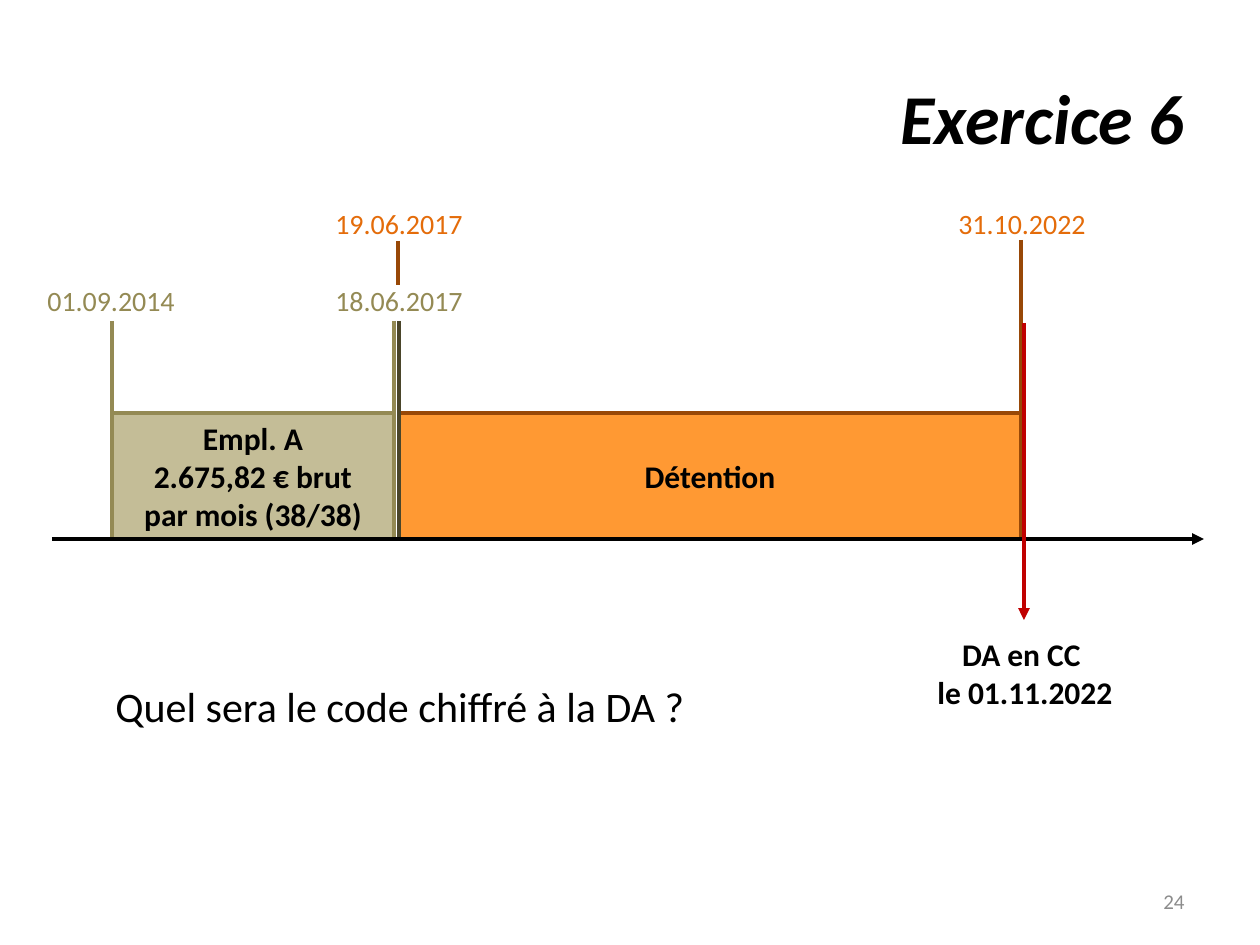
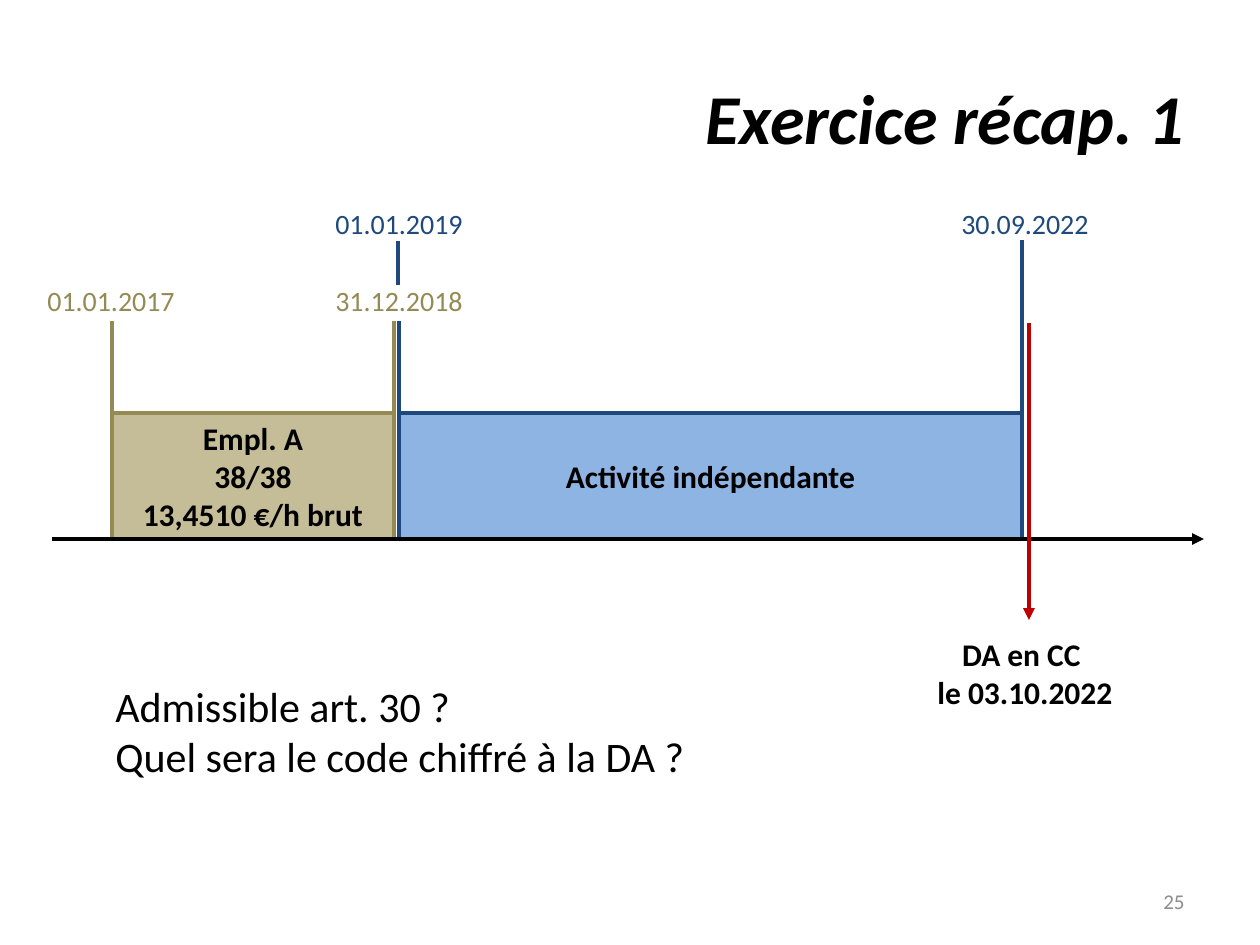
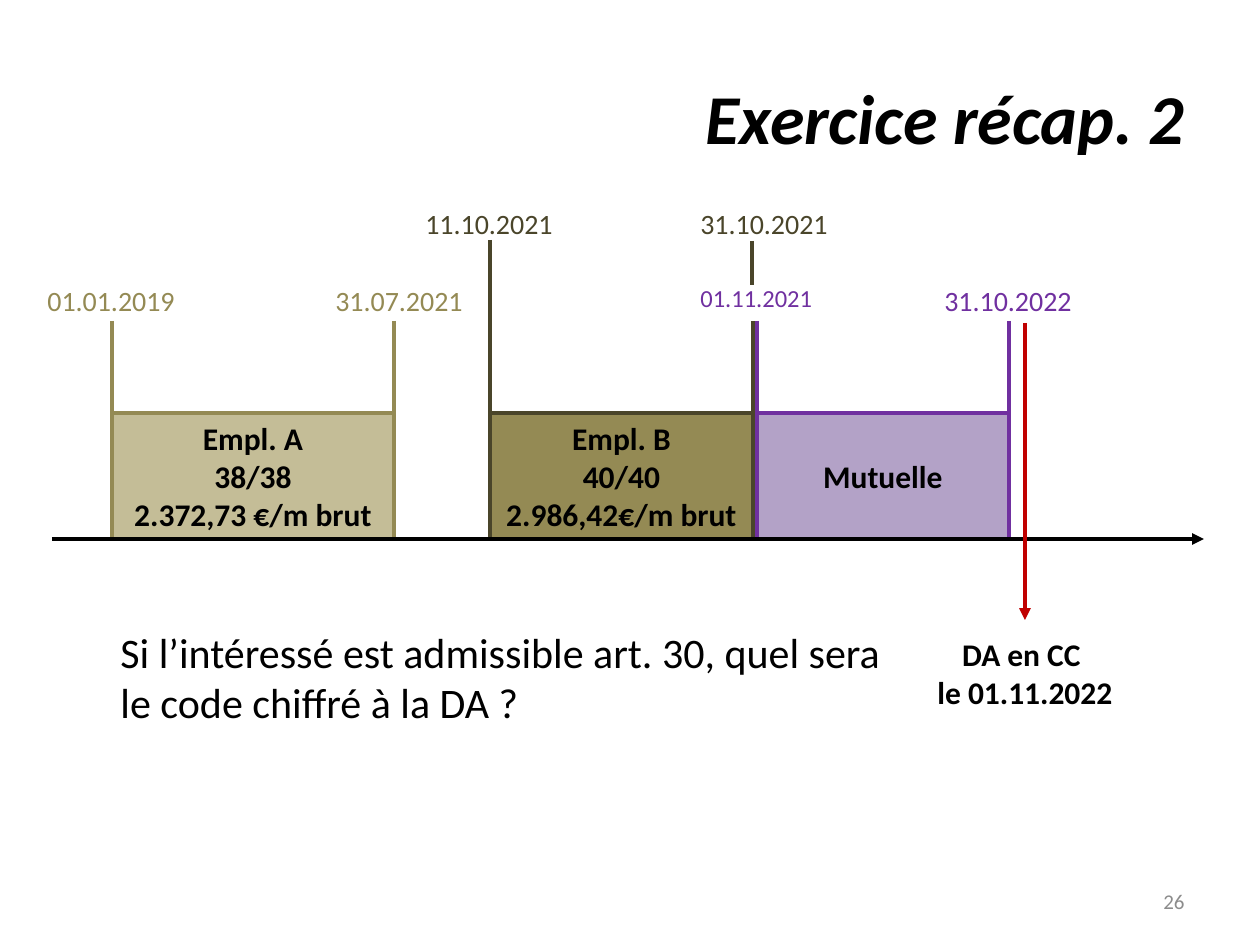
from collections import namedtuple

from lxml.etree import SubElement
from pptx import Presentation
from pptx.dml.color import RGBColor
from pptx.enum.shapes import MSO_CONNECTOR as Connector, MSO_SHAPE as Shape
from pptx.enum.text import MSO_ANCHOR as Anchor, PP_ALIGN as Align
from pptx.oxml.ns import qn
from pptx.util import Emu, Pt

SCALE = 914400 // 126
FONT = "Calibri"
BLACK, GREY, RED = "000000", "8C8C8C", "C00000"
KHAKI, SAND, DARK_KHAKI = "948A54", "C4BD97", "4A452A"
ORANGE, BROWN, DATE_ORANGE = "FF9933", "984807", "E46C0A"
SKY, NAVY = "8EB4E3", "1F497D"
LILAC, PURPLE = "B3A2C7", "7030A0"

TITLE_BOX = (63, 38, 1134, 158)
NUMBER_BOX = (903, 876, 294, 50)
TIMELINE_BOX = (52, 200, 1152, 339)
REQUEST_BOX = (921, 629, 208, 89)
BAND_HEIGHT = 126
LABEL_WIDTH, LABEL_HEIGHT = 154, 47
LABEL_TOPS = {"upper": 0, "lower": 77}
MARK_SPANS = {"tall": (40, 339), "short": (121, 339), "stub": (41, 85)}
REQUEST_SPAN = (123, 420)

Period = namedtuple("Period", "left right text fill line")
Mark = namedtuple("Mark", "x kind color")
Date = namedtuple("Date", "left row text color size", defaults=(16,))
Exercise = namedtuple(
    "Exercise", "title periods marks dates request_x request_date question question_box"
)


def px(length):
    return Emu(length * SCALE)


def rgb(color):
    return RGBColor.from_string(color)


def format_text(frame, size, color=BLACK, align=Align.LEFT, bold=False, italic=False):
    for paragraph in frame.paragraphs:
        paragraph.alignment = align
        for run in paragraph.runs:
            font = run.font
            font.name, font.size = FONT, Pt(size)
            font.bold, font.italic = bold, italic
            font.color.rgb = rgb(color)


def add_text(slide, box, text, size, wrap=True, anchor=Anchor.TOP, **style):
    frame = slide.shapes.add_textbox(*map(px, box)).text_frame
    frame.word_wrap = wrap
    frame.vertical_anchor = anchor
    frame.text = text
    format_text(frame, size, **style)


def add_line(slide, start, end, color, arrow=False):
    line = slide.shapes.add_connector(Connector.STRAIGHT, *map(px, start + end))
    line.line.color.rgb = rgb(color)
    line.line.width = Pt(2.25)
    if arrow:
        SubElement(line.line._get_or_add_ln(), qn("a:tailEnd"), type="triangle")
    SubElement(line._element.spPr, qn("a:effectLst"))


def add_period(slide, box, period):
    left, top, _, height = box
    shape = slide.shapes.add_shape(
        Shape.RECTANGLE,
        px(left + period.left),
        px(top + height - BAND_HEIGHT),
        px(period.right - period.left),
        px(BAND_HEIGHT),
    )
    shape.shadow.inherit = False
    shape.fill.solid()
    shape.fill.fore_color.rgb = rgb(period.fill)
    shape.line.color.rgb = rgb(period.line)
    shape.line.width = Pt(2)
    frame = shape.text_frame
    frame.text = period.text
    frame.vertical_anchor = Anchor.MIDDLE
    format_text(frame, 18, align=Align.CENTER, bold=True)


def add_timeline(slide, box, exercise):
    left, top, width, height = box
    for period in exercise.periods:
        add_period(slide, box, period)
    for mark in exercise.marks:
        start, end = MARK_SPANS[mark.kind]
        x = left + mark.x
        add_line(slide, (x, top + start), (x, top + end), mark.color)
    for date in exercise.dates:
        label_box = (left + date.left, top + LABEL_TOPS[date.row], LABEL_WIDTH, LABEL_HEIGHT)
        if date.size < 16:
            label_box = label_box[:2] + (139, 43)
        add_text(slide, label_box, date.text, date.size, wrap=False, color=date.color)
    axis = top + height
    add_line(slide, (left, axis), (left + width, axis), BLACK, arrow=True)
    start, end = REQUEST_SPAN
    x = left + exercise.request_x
    add_line(slide, (x, top + start), (x, top + end), RED, arrow=True)


def add_title(slide, box, text):
    title = slide.shapes.title
    title.left, title.top, title.width, title.height = map(px, box)
    title.text_frame.text = text
    title.text_frame.vertical_anchor = Anchor.MIDDLE
    format_text(title.text_frame, 40, align=Align.RIGHT, bold=True, italic=True)


def add_exercise(presentation, exercise, number):
    slide = presentation.slides.add_slide(presentation.slide_layouts[5])
    add_title(slide, TITLE_BOX, exercise.title)
    add_text(slide, NUMBER_BOX, str(number), 12, anchor=Anchor.MIDDLE,
             color=GREY, align=Align.RIGHT)
    add_timeline(slide, TIMELINE_BOX, exercise)
    add_text(slide, REQUEST_BOX, f"DA en CC \nle {exercise.request_date}", 18,
             align=Align.CENTER, bold=True)
    add_text(slide, exercise.question_box, exercise.question, 24)


def employer_a(terms):
    return Period(60, 342, f"Empl. A\n{terms}", SAND, KHAKI)


EMPLOYER_A_MARKS = [Mark(60, "short", KHAKI), Mark(342, "short", KHAKI)]


def employer_a_dates(start, end):
    return [Date(-17, "lower", start, KHAKI), Date(271, "lower", end, KHAKI)]


EXERCISES = [
    Exercise(
        "Exercice 6",
        [employer_a("2.675,82 € brut\npar mois (38/38)"),
         Period(347, 969, "Détention", ORANGE, BROWN)],
        EMPLOYER_A_MARKS + [Mark(969, "tall", BROWN), Mark(347, "short", DARK_KHAKI),
                            Mark(346, "stub", BROWN)],
        employer_a_dates("01.09.2014", "18.06.2017")
        + [Date(271, "upper", "19.06.2017", DATE_ORANGE),
           Date(894, "upper", "31.10.2022", DATE_ORANGE)],
        972, "01.11.2022",
        "Quel sera le code chiffré à la DA ?", (103, 674, 813, 63),
    ),
    Exercise(
        "Exercice récap. 1",
        [employer_a("38/38\n13,4510 €/h brut"),
         Period(347, 970, "Activité indépendante", SKY, NAVY)],
        EMPLOYER_A_MARKS + [Mark(970, "tall", NAVY), Mark(347, "short", NAVY),
                            Mark(346, "stub", NAVY)],
        employer_a_dates("01.01.2017", "31.12.2018")
        + [Date(271, "upper", "01.01.2019", NAVY),
           Date(897, "upper", "30.09.2022", NAVY)],
        977, "03.10.2022",
        "Admissible art. 30 ?\nQuel sera le code chiffré à la DA ?", (103, 674, 813, 115),
    ),
    Exercise(
        "Exercice récap. 2",
        [employer_a("38/38\n2.372,73 €/m brut"),
         Period(705, 957, "Mutuelle", LILAC, PURPLE),
         Period(438, 701, "Empl. B\n40/40\n2.986,42€/m brut", KHAKI, DARK_KHAKI)],
        EMPLOYER_A_MARKS + [Mark(957, "short", PURPLE), Mark(438, "tall", DARK_KHAKI),
                            Mark(705, "short", PURPLE), Mark(701, "short", DARK_KHAKI),
                            Mark(700, "stub", DARK_KHAKI)],
        employer_a_dates("01.01.2019", "31.07.2021")
        + [Date(636, "lower", "01.11.2021", PURPLE, 14),
           Date(880, "lower", "31.10.2022", PURPLE),
           Date(361, "upper", "11.10.2021", DARK_KHAKI),
           Date(636, "upper", "31.10.2021", DARK_KHAKI)],
        973, "01.11.2022",
        "Si l’intéressé est admissible art. 30, quel sera le code chiffré à la DA ?",
        (108, 620, 813, 115),
    ),
]


def main():
    presentation = Presentation()
    presentation.slide_width, presentation.slide_height = px(1260), px(945)
    for number, exercise in enumerate(EXERCISES, 24):
        add_exercise(presentation, exercise, number)
    presentation.save("out.pptx")


if __name__ == "__main__":
    main()
